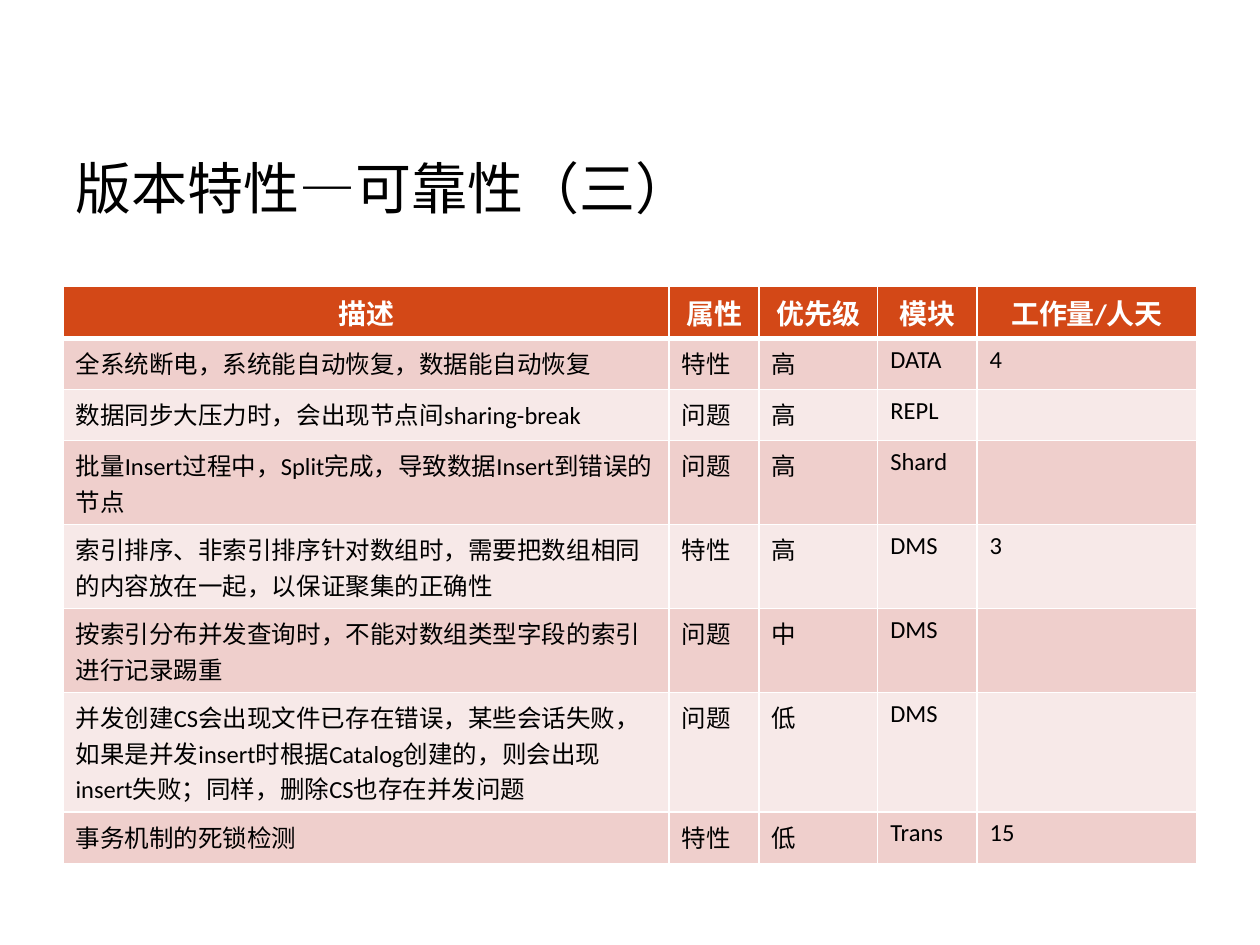
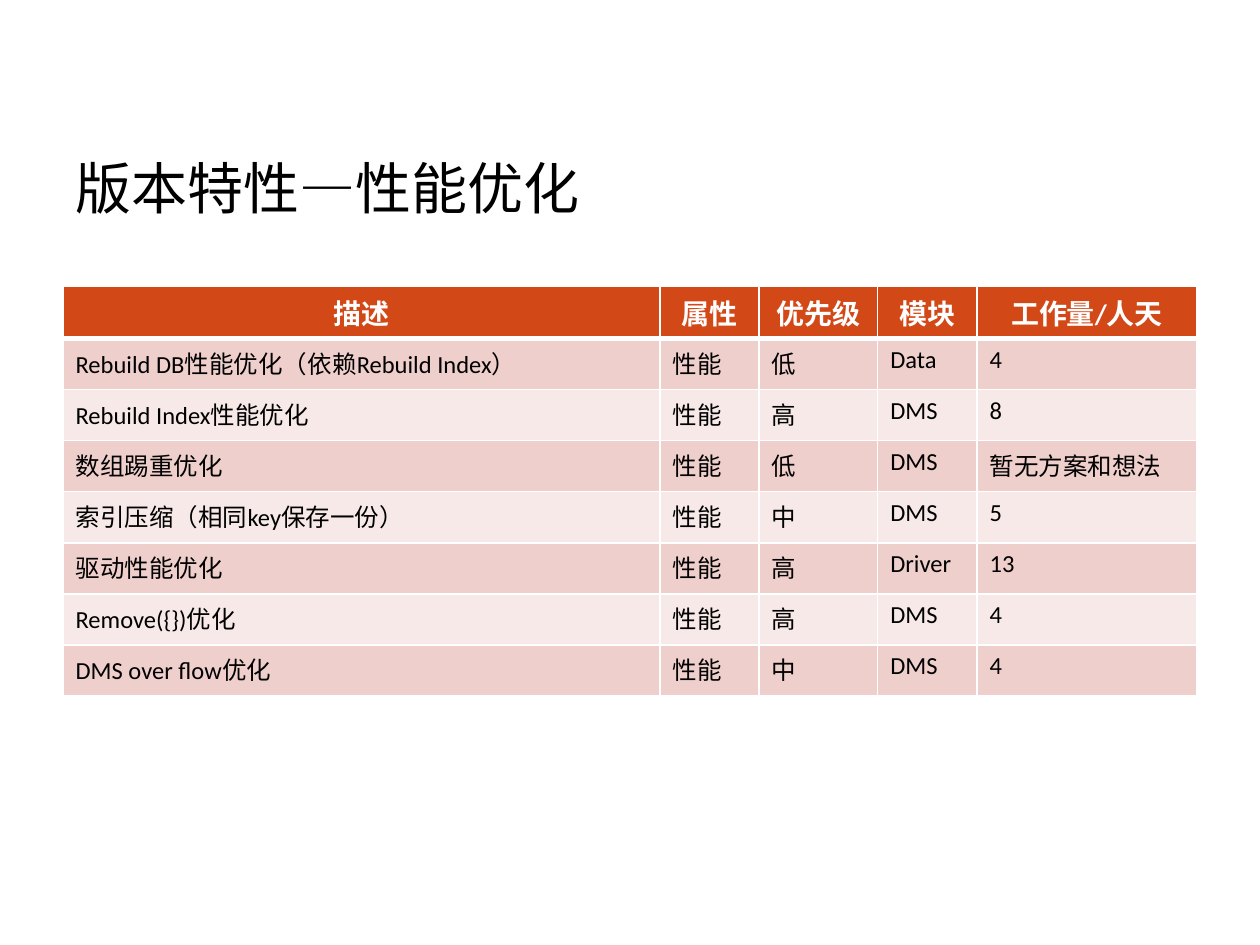
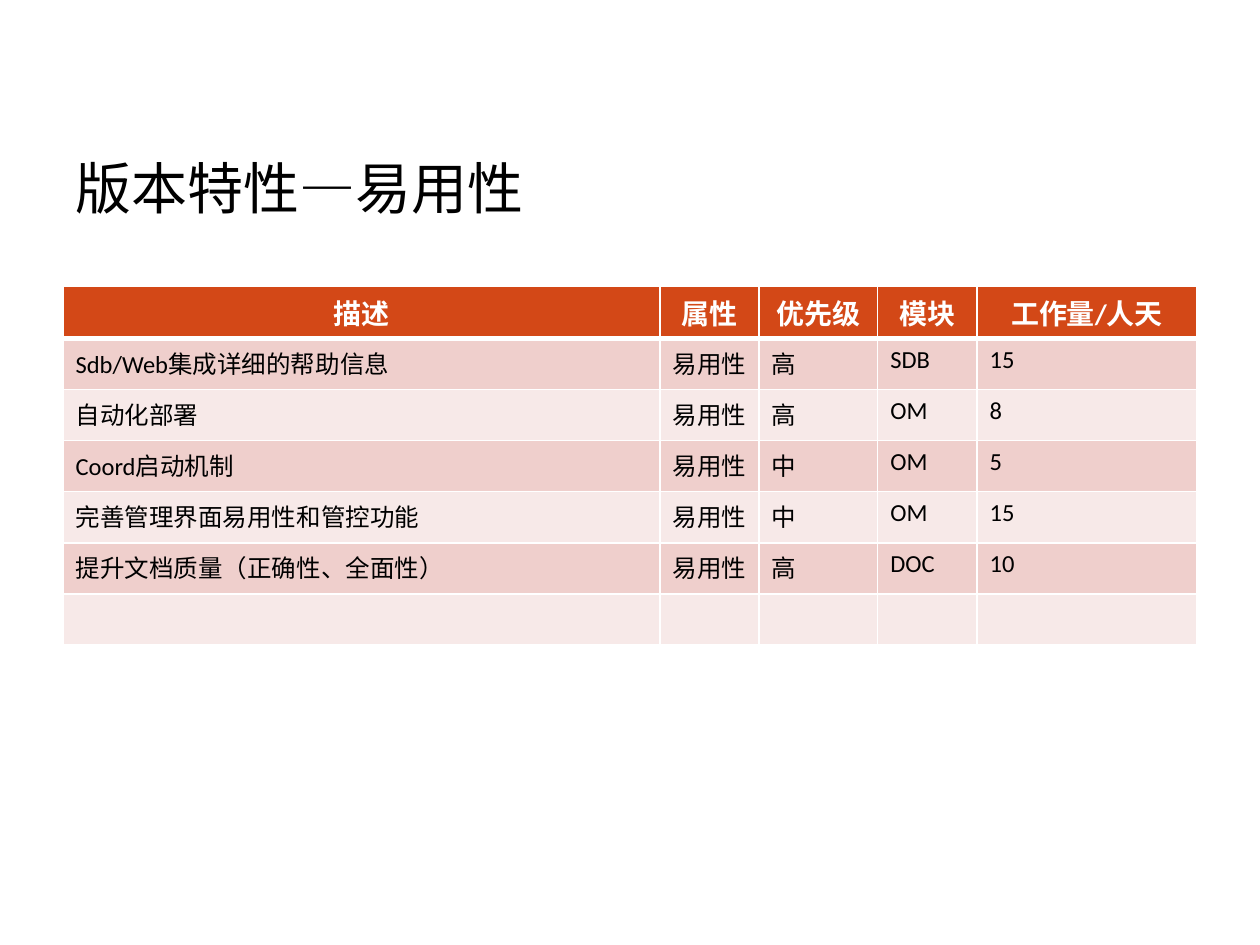
from dataclasses import dataclass

from lxml import etree
from pptx import Presentation
from pptx.dml.color import RGBColor
from pptx.enum.text import MSO_ANCHOR, PP_ALIGN
from pptx.oxml.ns import qn
from pptx.slide import Slide
from pptx.table import _Cell
from pptx.util import Pt

MIDDLE = MSO_ANCHOR.MIDDLE
LEFT, CENTER = PP_ALIGN.LEFT, PP_ALIGN.CENTER

# Shared colours, fonts and measures (points)
WHITE, BLACK = "FFFFFF", "000000"
HEADER_FILL = "D34817"
BAND_FILLS = ("EFCFCC", "F7E9E8")
TITLE_FONT, TABLE_FONT = "Arial", "Calibri"
MARGIN, CONTENT_WIDTH = 36, 648
TITLE_TOP, TITLE_HEIGHT = 62, 90
TABLE_TOP, HEADER_HEIGHT, ROW_HEIGHT = 163.4, 30, 29.2
LINE_HEIGHT, CELL_PADDING = 20.4, 7.2
PRIORITY_WIDTH, MODULE_WIDTH, EFFORT_WIDTH = 67.8, 56.8, 125.6
THIN, THICK = 1, 3

HEADINGS = ("描述", "属性", "优先级", "模块", "工作量/人天")


@dataclass
class Feature:
    description: str = ""
    attribute: str = ""
    priority: str = ""
    module: str = ""
    effort: str = ""
    lines: int = 1

    def texts(self) -> tuple[str, ...]:
        return (self.description, self.attribute, self.priority, self.module, self.effort)

    def height(self) -> float:
        return max(ROW_HEIGHT, CELL_PADDING + LINE_HEIGHT * self.lines)


@dataclass
class FeaturePage:
    topic: str
    features: list[Feature]
    attribute_width: float = 56.7


PAGES = [
    FeaturePage("可靠性（三）", [
        Feature("全系统断电，系统能自动恢复，数据能自动恢复", "特性", "高", "DATA", "4"),
        Feature("数据同步大压力时，会出现节点间sharing-break", "问题", "高", "REPL"),
        Feature("批量Insert过程中，Split完成，导致数据Insert到错误的节点",
                "问题", "高", "Shard", lines=2),
        Feature("索引排序、非索引排序针对数组时，需要把数组相同的内容放在一起，以保证聚集的正确性",
                "特性", "高", "DMS", "3", lines=2),
        Feature("按索引分布并发查询时，不能对数组类型字段的索引进行记录踢重",
                "问题", "中", "DMS", lines=2),
        Feature("并发创建CS会出现文件已存在错误，某些会话失败，如果是并发insert时根据Catalog创建的，"
                "则会出现insert失败；同样，删除CS也存在并发问题", "问题", "低", "DMS", lines=3),
        Feature("事务机制的死锁检测", "特性", "低", "Trans", "15"),
    ], attribute_width=51.4),
    FeaturePage("性能优化", [
        Feature("Rebuild DB性能优化（依赖Rebuild Index）", "性能", "低", "Data", "4"),
        Feature("Rebuild Index性能优化", "性能", "高", "DMS", "8"),
        Feature("数组踢重优化", "性能", "低", "DMS", "暂无方案和想法"),
        Feature("索引压缩（相同key保存一份）", "性能", "中", "DMS", "5"),
        Feature("驱动性能优化", "性能", "高", "Driver", "13"),
        Feature("Remove({})优化", "性能", "高", "DMS", "4"),
        Feature("DMS over flow优化", "性能", "中", "DMS", "4"),
    ]),
    FeaturePage("易用性", [
        Feature("Sdb/Web集成详细的帮助信息", "易用性", "高", "SDB", "15"),
        Feature("自动化部署", "易用性", "高", "OM", "8"),
        Feature("Coord启动机制", "易用性", "中", "OM", "5"),
        Feature("完善管理界面易用性和管控功能", "易用性", "中", "OM", "15"),
        Feature("提升文档质量（正确性、全面性）", "易用性", "高", "DOC", "10"),
        Feature(),
    ]),
]


def color(value: str) -> RGBColor:
    return RGBColor.from_string(value)


def set_text(para, text: str, font: str, size: float, ink: str, bold: bool = False) -> None:
    para.text = text
    para.font.name = font
    para.font.size = Pt(size)
    para.font.bold = bold
    para.font.color.rgb = color(ink)


def add_title(page: Slide, topic: str) -> None:
    box = page.shapes.add_textbox(Pt(MARGIN), Pt(TITLE_TOP), Pt(CONTENT_WIDTH), Pt(TITLE_HEIGHT))
    box.text_frame.word_wrap = True
    box.text_frame.vertical_anchor = MIDDLE
    set_text(box.text_frame.paragraphs[0], f"版本特性—{topic}", TITLE_FONT, 32, BLACK)


def set_borders(cell: _Cell, top: float, bottom: float) -> None:
    """Draw white cell borders; the lines must come before the fill."""
    properties = cell._tc.get_or_add_tcPr()
    widths = {"a:lnL": THIN, "a:lnR": THIN, "a:lnT": top, "a:lnB": bottom}
    for index, (tag, width) in enumerate(widths.items()):
        line = etree.Element(qn(tag), w=str(Pt(width)))
        fill = etree.SubElement(line, qn("a:solidFill"))
        etree.SubElement(fill, qn("a:srgbClr"), val=WHITE)
        properties.insert(index, line)


def add_feature_table(page: Slide, content: FeaturePage) -> None:
    rows = [HEADINGS] + [feature.texts() for feature in content.features]
    heights = [HEADER_HEIGHT] + [feature.height() for feature in content.features]
    frame = page.shapes.add_table(len(rows), len(HEADINGS), Pt(MARGIN), Pt(TABLE_TOP),
                                  Pt(CONTENT_WIDTH), Pt(sum(heights)))
    table = frame.table
    table.horz_banding = False

    # The description column takes the width the others leave
    widths = [content.attribute_width, PRIORITY_WIDTH, MODULE_WIDTH, EFFORT_WIDTH]
    widths.insert(0, CONTENT_WIDTH - sum(widths))
    for column, width in zip(table.columns, widths):
        column.width = Pt(width)

    for row_index, (texts, height) in enumerate(zip(rows, heights)):
        row = table.rows[row_index]
        row.height = Pt(height)
        is_header = row_index == 0
        fill = HEADER_FILL if is_header else BAND_FILLS[(row_index - 1) % 2]
        for cell, text in zip(row.cells, texts):
            cell.fill.solid()
            cell.fill.fore_color.rgb = color(fill)
            set_borders(cell, THICK if row_index == 1 else THIN, THICK if is_header else THIN)
            para = cell.text_frame.paragraphs[0]
            para.alignment = CENTER if is_header else LEFT
            set_text(para, text, TABLE_FONT, 16 if is_header else 14,
                     WHITE if is_header else BLACK, bold=is_header)


def main() -> None:
    deck = Presentation()
    deck.slide_width, deck.slide_height = Pt(720), Pt(540)
    blank = deck.slide_layouts[6]
    for content in PAGES:
        page = deck.slides.add_slide(blank)
        add_title(page, content.topic)
        add_feature_table(page, content)
    deck.save("out.pptx")


if __name__ == "__main__":
    main()
